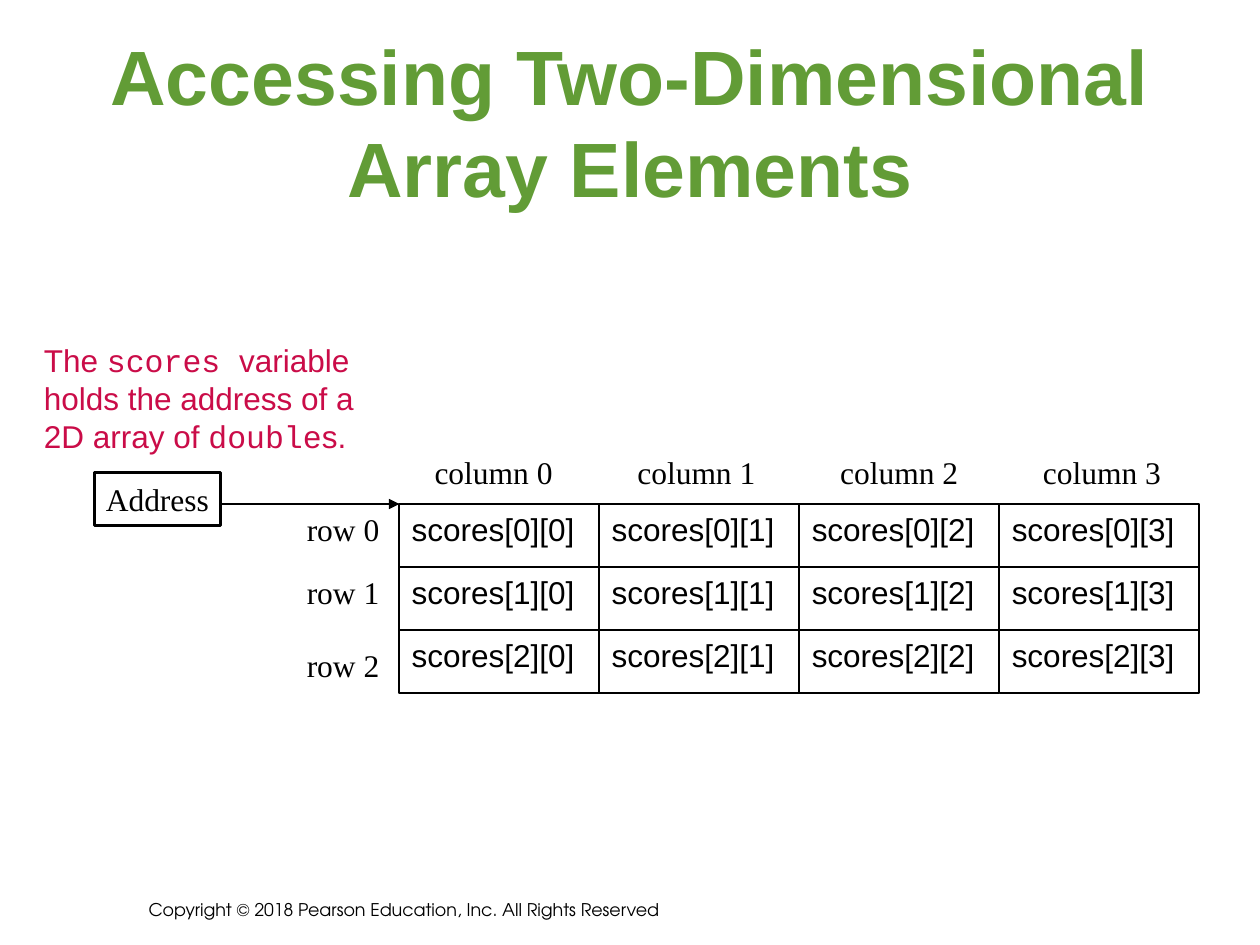
from itertools import product

from lxml import etree
from pptx import Presentation
from pptx.dml.color import RGBColor
from pptx.enum import shapes, text
from pptx.oxml.ns import qn
from pptx.util import Pt

BLACK = RGBColor(0x00, 0x00, 0x00)
WHITE = RGBColor(0xFF, 0xFF, 0xFF)
GREEN = RGBColor(0x62, 0x9C, 0x36)
CRIMSON = RGBColor(0xCA, 0x0C, 0x48)

SANS, SERIF, CODE = "Arial", "Times New Roman", "Courier New"
CENTER, LEFT = text.PP_ALIGN.CENTER, text.PP_ALIGN.LEFT
TOP, MIDDLE, BOTTOM = text.MSO_ANCHOR.TOP, text.MSO_ANCHOR.MIDDLE, text.MSO_ANCHOR.BOTTOM

# Each text is a list of lines; each line is a list of (words, font name).
TITLE = [[("Accessing Two-Dimensional Array Elements", SANS)]]
COPYRIGHT = [[("Copyright © 2018 Pearson Education, Inc. All Rights Reserved",
               "TeX Gyre Adventor")]]
EXPLANATION = [
    [("The ", SANS), ("scores ", CODE), ("variable", SANS)],
    [("holds the address of a", SANS)],
    [("2D array of ", SANS), ("double", CODE), ("s.", SANS)],
]
ADDRESS = [[("Address", SERIF)]]
ROW_LABEL_TOPS = [288, 324, 365.8]
COLUMN_COUNT = 4

GRID_LEFT, GRID_TOP = 228.2, 288
CELL_WIDTH, CELL_HEIGHT = 114.3, 36
COLUMN_LABEL_LEFT, COLUMN_LABEL_STEP = 241.2, 115.9
ADDRESS_LEFT, ADDRESS_WIDTH = 54, 72


def write(shape, lines, size=18, color=BLACK, align=LEFT, anchor=TOP, wrap=True):
    frame = shape.text_frame
    frame.word_wrap = wrap
    frame.vertical_anchor = anchor
    for index, line in enumerate(lines):
        paragraph = frame.add_paragraph() if index else frame.paragraphs[0]
        paragraph.alignment = align
        for words, font_name in line:
            run = paragraph.add_run()
            run.text = words
            run.font.color.rgb = color
            font_format = {"name": font_name, "size": Pt(size)}
            for name, value in font_format.items():
                setattr(run.font, name, value)
    return frame


def add_text(slide, box, lines, **options):
    return write(slide.shapes.add_textbox(*map(Pt, box)), lines, **options)


def add_box(slide, box, lines, line_width, fill=None, **options):
    shape = slide.shapes.add_shape(shapes.MSO_SHAPE.RECTANGLE, *map(Pt, box))
    shape.shadow.inherit = False
    if fill is None:
        shape.fill.background()
    else:
        shape.fill.solid()
        shape.fill.fore_color.rgb = fill
    shape.line.color.rgb = BLACK
    shape.line.width = Pt(line_width)
    write(shape, lines, **options)


def add_arrow(slide, start, end):
    arrow = slide.shapes.add_connector(
        shapes.MSO_CONNECTOR.STRAIGHT, *map(Pt, start + end))
    arrow.line.color.rgb = BLACK
    arrow.line.width = Pt(0.75)
    etree.SubElement(arrow.line._get_or_add_ln(), qn("a:tailEnd"), type="triangle")
    etree.SubElement(arrow._element.spPr, qn("a:effectLst"))


def main():
    presentation = Presentation()
    presentation.slide_width, presentation.slide_height = Pt(720), Pt(540)
    slide = presentation.slides.add_slide(presentation.slide_layouts[6])

    add_text(slide, (77.8, 505.4, 515.5, 23.8), COPYRIGHT, size=10, anchor=BOTTOM)
    title = add_text(slide, (36, 23.8, 648, 90), TITLE,
                     size=44, color=GREEN, align=CENTER, anchor=MIDDLE)
    title.paragraphs[0].runs[0].font.bold = True

    for row, column in product(range(len(ROW_LABEL_TOPS)), range(COLUMN_COUNT)):
        box = (GRID_LEFT + column * CELL_WIDTH, GRID_TOP + row * CELL_HEIGHT,
               CELL_WIDTH, CELL_HEIGHT)
        add_box(slide, box, [[(f"scores[{row}][{column}]", SANS)]], line_width=1)

    for column in range(COLUMN_COUNT):
        left = COLUMN_LABEL_LEFT + column * COLUMN_LABEL_STEP
        add_text(slide, (left, 255.6, 82, 28.8), [[(f"column {column}", SERIF)]],
                 wrap=False)
    for row, top in enumerate(ROW_LABEL_TOPS):
        add_text(slide, (168.2, top, 55.8, 28.8), [[(f"row {row}", SERIF)]], wrap=False)

    add_text(slide, (18, 191.5, 191.5, 72), EXPLANATION, color=CRIMSON, wrap=False)
    add_box(slide, (ADDRESS_LEFT, 270, ADDRESS_WIDTH, 30.2), ADDRESS, line_width=2,
            fill=WHITE, align=CENTER, anchor=MIDDLE, wrap=False)
    add_arrow(slide, (ADDRESS_LEFT + ADDRESS_WIDTH, GRID_TOP), (GRID_LEFT, GRID_TOP))

    presentation.save("out.pptx")


if __name__ == "__main__":
    main()
